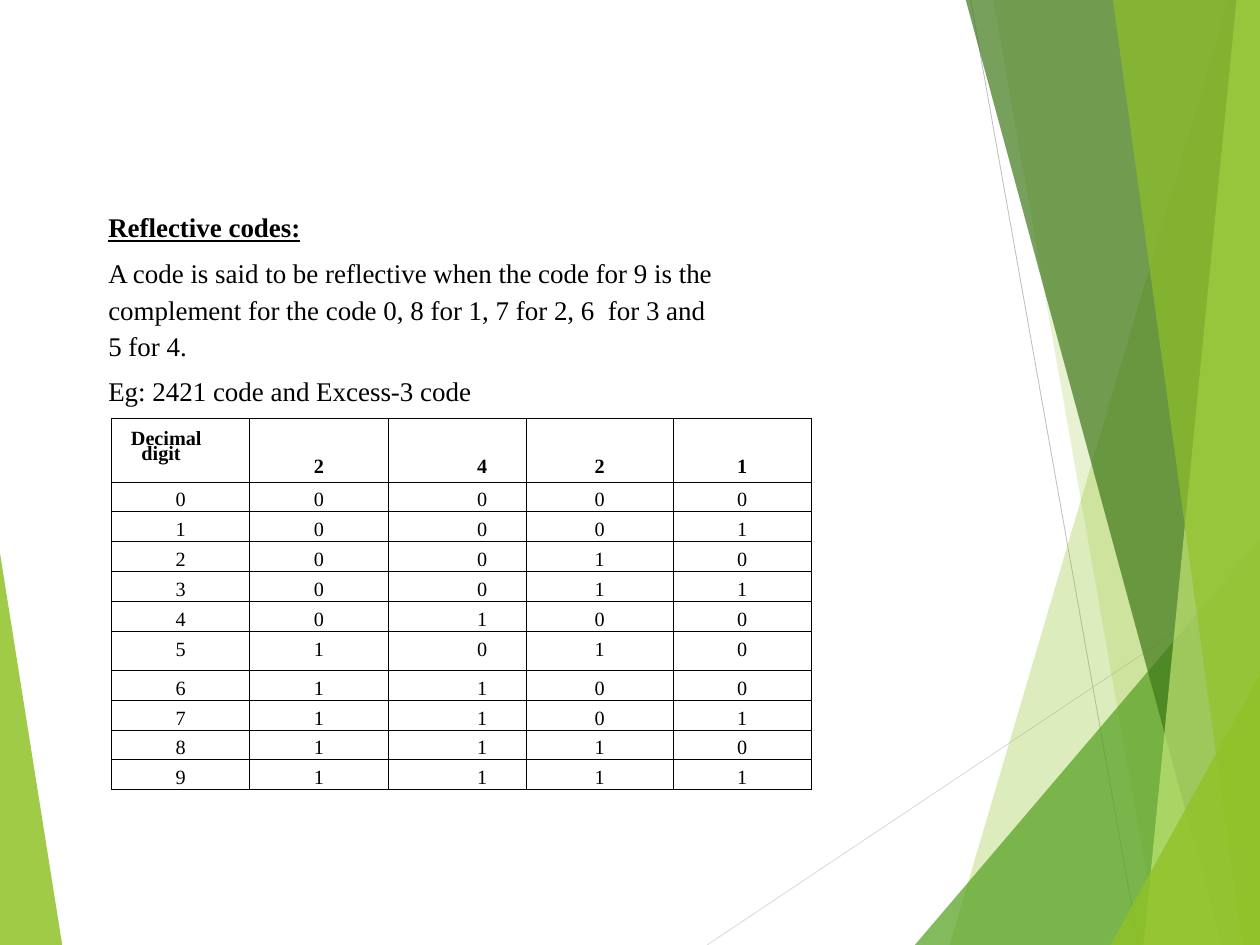
from lxml import etree
from pptx import Presentation
from pptx.dml.color import RGBColor
from pptx.enum.shapes import MSO_CONNECTOR
from pptx.enum.text import MSO_ANCHOR, MSO_AUTO_SIZE, PP_ALIGN
from pptx.oxml.ns import qn
from pptx.util import Inches, Pt

STRAIGHT = MSO_CONNECTOR.STRAIGHT
TOP = MSO_ANCHOR.TOP
NO_AUTOFIT = MSO_AUTO_SIZE.NONE
LEFT, CENTER, RIGHT = PP_ALIGN.LEFT, PP_ALIGN.CENTER, PP_ALIGN.RIGHT

FONT = "Times New Roman"
WIDTH, HEIGHT = 15.59, 11.69
COLORS = {
    "text": "000000",
    "lime": "90C226",
    "green": "54A021",
    "forest": "3F7819",
    "pale": "C0E474",
    "light_line": "D9D9D9",
    "grey_line": "BFBFBF",
}

# Colour, opacity in percent, corners
FACETS = [
    ("lime", 85, [(0, 6.84), (0.77, HEIGHT), (0, HEIGHT)]),
    ("lime", 30, [(15.2, 0), (11.75, HEIGHT), (WIDTH, HEIGHT), (WIDTH, 0)]),
    ("lime", 20, [(12.29, 0), (14.34, HEIGHT), (WIDTH, HEIGHT), (WIDTH, 0)]),
    ("green", 72, [(11.32, HEIGHT), (WIDTH, 6.68), (WIDTH, HEIGHT)]),
    ("forest", 70, [(11.95, 0), (15.12, HEIGHT), (WIDTH, HEIGHT), (WIDTH, 0)]),
    ("pale", 70, [(15.3, 0), (14.15, HEIGHT), (WIDTH, HEIGHT), (WIDTH, 0)]),
    ("lime", 65, [(13.77, 0), (15.37, HEIGHT), (WIDTH, HEIGHT), (WIDTH, 0)]),
    ("lime", 80, [(13.74, HEIGHT), (WIDTH, 8.34), (WIDTH, HEIGHT)]),
]

HEADERS = ["Decimal digit", "2", "4", "2", "1"]
CODES = ["0000", "0001", "0010", "0011", "0100",
         "1010", "1100", "1101", "1110", "1111"]
COLUMN_WIDTHS = [1.71, 1.71, 1.71, 1.82, 1.71]
ROW_HEIGHTS = [0.78] + [0.37] * 5 + [0.48] + [0.37] * 4


def color(name):
    return RGBColor.from_string(COLORS[name])


def format_runs(para, size, bold=False, underline=False):
    for span in para.runs:
        span.font.name = FONT
        span.font.size = Pt(size)
        span.font.bold = bold
        span.font.underline = underline
        span.font.color.rgb = color("text")


def add_facet(page, fill, opacity, corners):
    points = [(Inches(x), Inches(y)) for x, y in corners]
    builder = page.shapes.build_freeform(*points[0], scale=1.0)
    builder.add_line_segments(points[1:], close=True)
    facet = builder.convert_to_shape()
    facet.shadow.inherit = False
    facet.line.fill.background()
    facet.fill.solid()
    facet.fill.fore_color.rgb = color(fill)
    tint = facet.fill._xPr.find(".//" + qn("a:srgbClr"))
    etree.SubElement(tint, qn("a:alpha"), val=str(opacity * 1000))


def add_thin_line(page, start, end, stroke):
    line = page.shapes.add_connector(
        STRAIGHT, *[Inches(value) for value in start + end])
    line.line.color.rgb = color(stroke)
    line.line.width = Pt(0.75)
    etree.SubElement(line._element.spPr, qn("a:effectLst"))


def place_placeholder(box, top, height, text):
    """Move a placeholder into the text column and fill it with left-aligned text."""
    box.left, box.top = Inches(1.23), Inches(top)
    box.width, box.height = Inches(7.82), Inches(height)
    frame = box.text_frame
    frame.text = text
    frame.word_wrap = True
    frame.auto_size = NO_AUTOFIT
    frame.vertical_anchor = TOP
    frame.margin_left, frame.margin_right = Inches(0.11), Inches(0.15)
    frame.margin_top = frame.margin_bottom = Inches(0.05)
    for para in frame.paragraphs:
        para.alignment = LEFT
        para.space_before = Pt(0)
        para.line_spacing = 1.0
        format_runs(para, 24)
    return frame.paragraphs


def remove_bullet(para):
    properties = para._p.get_or_add_pPr()
    properties.set("marL", "0")
    properties.set("indent", "0")
    etree.SubElement(properties, qn("a:buNone"))


def add_text(page):
    heading, = place_placeholder(
        page.shapes.title, 2.56, 0.5, "Reflective codes:")
    format_runs(heading, 24, bold=True, underline=True)
    definition, example = place_placeholder(
        page.placeholders[1], 3.08, 2.1,
        "A code is said to be reflective when the code for 9 is the complement "
        "for the code 0, 8 for 1, 7 for 2, 6  for 3 and 5 for 4.\n"
        "Eg: 2421 code and Excess-3 code")
    definition.line_spacing = 1.12
    example.space_before = Pt(11.3)
    for para in (definition, example):
        remove_bullet(para)


def add_borders(cell):
    properties = cell._tc.get_or_add_tcPr()
    for side in ("lnL", "lnR", "lnT", "lnB"):
        border = etree.SubElement(properties, qn("a:" + side), w=str(Pt(0.5)))
        fill = etree.SubElement(border, qn("a:solidFill"))
        etree.SubElement(fill, qn("a:srgbClr"), val=COLORS["text"])


def fill_cell(cell, text, is_header, alignment):
    cell.text = text
    cell.margin_left = cell.margin_bottom = 0
    cell.margin_right = Inches(0.48 if alignment == RIGHT else 0)
    cell.margin_top = Inches(0.46 if is_header else 0.18)
    cell.vertical_anchor = TOP
    para = cell.text_frame.paragraphs[0]
    para.alignment = alignment
    if not is_header:
        para.line_spacing = Pt(13.3)
    format_runs(para, 18, bold=is_header)
    add_borders(cell)
    cell.fill.background()


def format_corner(cell):
    """Wrap the first header onto two tight lines with a hanging indent."""
    cell.margin_top = Inches(0.19)
    cell.margin_right = Inches(0.3)
    para = cell.text_frame.paragraphs[0]
    para.alignment = LEFT
    para.line_spacing = Pt(13.9)
    properties = para._p.get_or_add_pPr()
    properties.set("marL", str(Inches(0.37)))
    properties.set("indent", str(Inches(-0.13)))


def add_code_table(page):
    rows = [HEADERS] + [[str(digit), *code] for digit, code in enumerate(CODES)]
    table = page.shapes.add_table(
        len(rows), len(HEADERS), Inches(1.38), Inches(5.18),
        Inches(sum(COLUMN_WIDTHS)), Inches(sum(ROW_HEIGHTS))).table
    table.first_row = table.horz_banding = False
    for column, width in zip(table.columns, COLUMN_WIDTHS):
        column.width = Inches(width)
    for row, height in zip(table.rows, ROW_HEIGHTS):
        row.height = Inches(height)
    for row_index, values in enumerate(rows):
        for column_index, value in enumerate(values):
            fill_cell(table.cell(row_index, column_index), value,
                      row_index == 0, RIGHT if column_index == 2 else CENTER)
    format_corner(table.cell(0, 0))


def main():
    deck = Presentation()
    deck.slide_width, deck.slide_height = Inches(WIDTH), Inches(HEIGHT)
    page = deck.slides.add_slide(deck.slide_layouts[1])
    add_facet(page, *FACETS[0])
    add_thin_line(page, (8.75, HEIGHT), (WIDTH, 7.12), "light_line")
    add_thin_line(page, (12.01, 0), (14.09, HEIGHT), "grey_line")
    for facet in FACETS[1:]:
        add_facet(page, *facet)
    add_text(page)
    add_code_table(page)
    deck.save("out.pptx")


if __name__ == "__main__":
    main()
